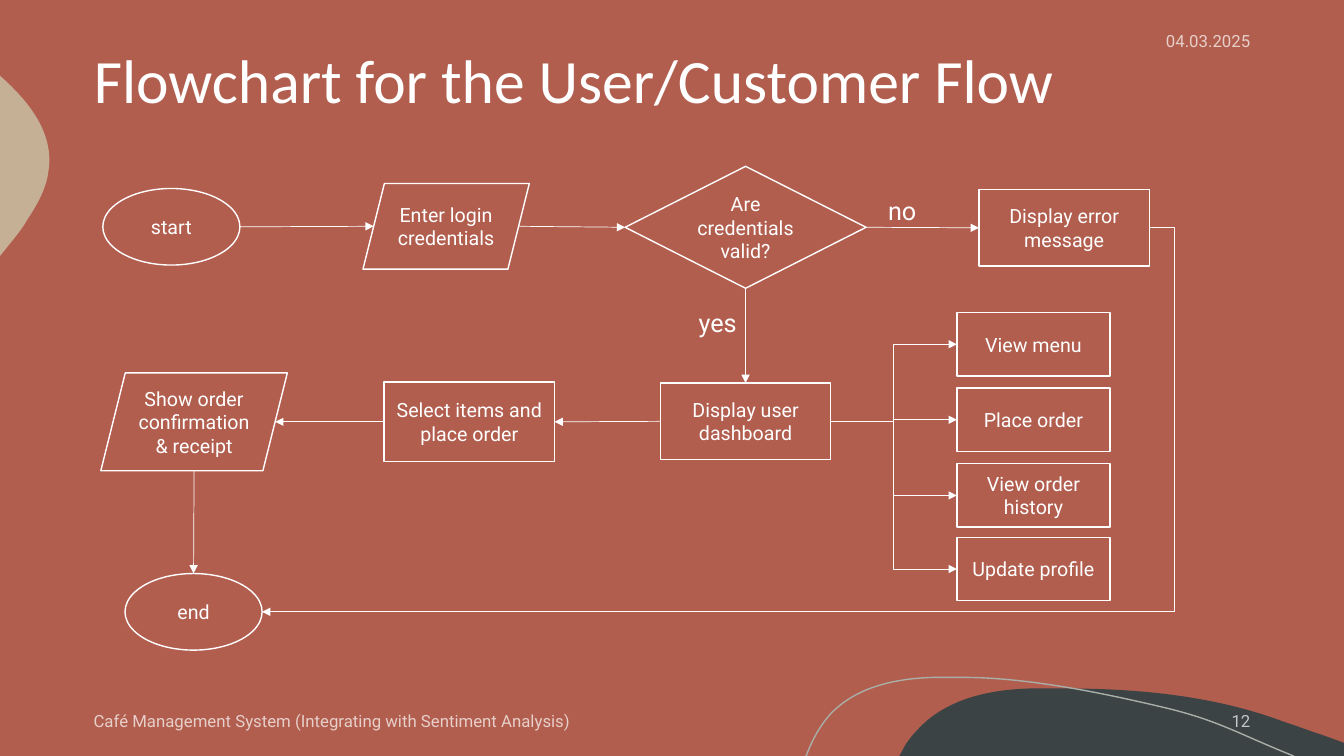
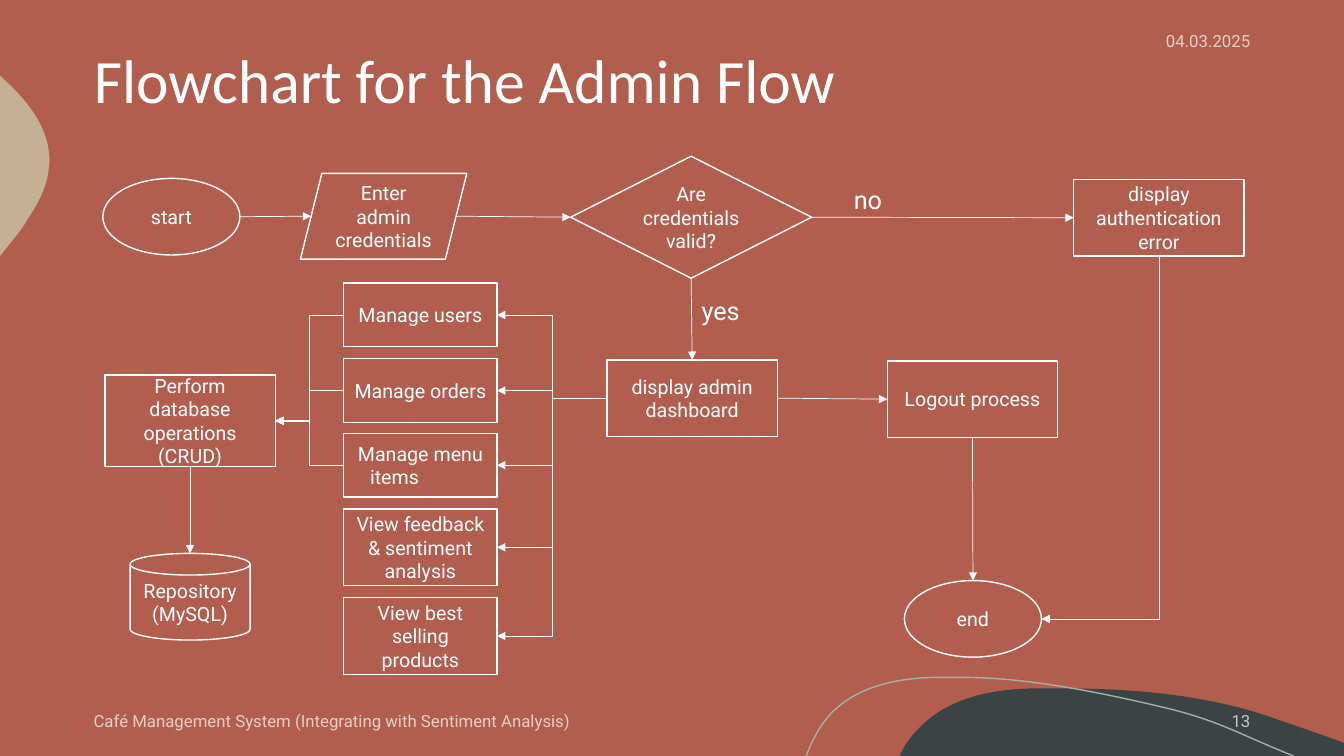
import dataclasses

import pptx
import pptx.dml.color
import pptx.enum.shapes
import pptx.enum.text
import pptx.oxml
import pptx.oxml.ns
import pptx.util
from lxml import etree

PX = 9144  # EMU per px, 100 px to the inch
SHAPE = pptx.enum.shapes.MSO_SHAPE
CONNECTOR = pptx.enum.shapes.MSO_CONNECTOR
ALIGN = pptx.enum.text.PP_ALIGN
ANCHOR = pptx.enum.text.MSO_ANCHOR
AUTO_SIZE = pptx.enum.text.MSO_AUTO_SIZE
TOP, LEFT, BOTTOM, RIGHT = range(4)
qn = pptx.oxml.ns.qn


@dataclasses.dataclass(frozen=True)
class Theme:
    background: str = "B15E4E"
    ink: str = "FFFFFF"
    dark_wave: str = "3B4345"
    sand_wave: str = "C5B096"
    wave_line: str = "A9AEA7"
    title_font: str = "Calibri"
    body_font: str = "Roboto"
    title_size: int = 44
    label_size: int = 18
    node_size: int = 14
    footer_size: int = 12
    outline: float = 1
    arrow: float = 0.5
    footer_alpha: int = 70


THEME = Theme()
SLIDE_SIZE = (1333, 750)
TITLE_BOX = (83, 0, 1167, 166)
DATE_BOX = (1027, 21, 223, 40)
FOOTER_BOX = (83, 695, 723, 40)
NUMBER_BOX = (1083, 695, 167, 40)
FLOW_BOX = (100, 150, 1150, 520)
TAB_STOP = 100

DATE = "04.03.2025"
FOOTER = "Café Management System (Integrating with Sentiment Analysis)"

# Outlines: a pair is a straight step, six numbers are a Bézier step
DARK_WAVE = [(1054, 683), (1128, 683, 1204, 690, 1273, 716),
             (1286, 720, 1298, 725, 1311, 729), (1333, 737), (1333, 750),
             (892, 750), (898, 739), (902, 733, 906, 728, 911, 723),
             (939, 693, 982, 684, 1023, 683), (1033, 683, 1043, 683, 1054, 683)]
SAND_WAVE = [(0, 75), (1, 76), (30, 102, 54, 133, 48, 170),
             (46, 187, 37, 203, 27, 218), (24, 224, 17, 233, 8, 244), (0, 254)]
WAVE_LINE = [(799, 750), (800, 749), (806, 733, 814, 719, 824, 708),
             (850, 681, 889, 673, 926, 672), (955, 672),
             (1022, 672, 1100, 689, 1155, 702), (1209, 715, 1226, 727, 1283, 750)]


def emu(lengths):
    return [round(length * PX) for length in lengths]


def rgb(colour):
    return pptx.dml.color.RGBColor.from_string(colour)


def write(frame, text, size, font=THEME.body_font, align=ALIGN.LEFT, anchor=ANCHOR.MIDDLE):
    """Fill a text frame, one paragraph for each line of text."""
    frame.word_wrap = True
    frame.vertical_anchor = anchor
    for index, line in enumerate(text.split("\n")):
        paragraph = frame.add_paragraph() if index else frame.paragraphs[0]
        paragraph.alignment = align
        if "\t" in line:
            stops = etree.SubElement(paragraph._p.get_or_add_pPr(), qn("a:tabLst"))
            etree.SubElement(stops, qn("a:tab"), pos=str(TAB_STOP * PX), algn="l")
        run = paragraph.add_run()
        run.text = line
        run.font.name = font
        run.font.size = pptx.util.Pt(size)
        run.font.color.rgb = rgb(THEME.ink)


# Shared look
def bend_steps(wave, steps):
    """Turn the straight steps of a freeform into the Bézier steps they stand for."""
    origin = (wave.left, wave.top)
    lines = list(wave.element.iter(qn("a:lnTo")))
    for line, step in zip(lines, steps[1:]):
        if len(step) == 2:
            continue
        curve = etree.Element(qn("a:cubicBezTo"))
        for pair in zip(step[::2], step[1::2]):
            x, y = (end - start for end, start in zip(emu(pair), origin))
            etree.SubElement(curve, qn("a:pt"), x=str(x), y=str(y))
        line.getparent().replace(line, curve)


def add_wave(slide, steps, fill=None, line=None):
    points = [tuple(emu(step[-2:])) for step in steps]
    builder = slide.shapes.build_freeform(*points[0], scale=1.0)
    builder.add_line_segments(points[1:], close=fill is not None)
    wave = builder.convert_to_shape()
    bend_steps(wave, steps)
    wave.shadow.inherit = False
    if fill:
        wave.fill.solid()
        wave.fill.fore_color.rgb = rgb(fill)
        wave.line.fill.background()
    else:
        wave.fill.background()
        wave.line.color.rgb = rgb(line)
        wave.line.width = pptx.util.Pt(THEME.outline)
    return wave


def decorate_layout(layout, slide):
    """Draw the waves on a slide, then move them to its layout."""
    waves = [add_wave(slide, DARK_WAVE, fill=THEME.dark_wave),
             add_wave(slide, SAND_WAVE, fill=THEME.sand_wave),
             add_wave(slide, WAVE_LINE, line=THEME.wave_line)]
    for index, wave in enumerate(waves):
        wave.element.nvSpPr.cNvPr.set("id", str(100 + index))
        layout.shapes.element.insert(2 + index, wave.element)


def add_footer_text(slide, box, text, align=ALIGN.LEFT):
    footer = slide.shapes.add_textbox(*emu(box))
    write(footer.text_frame, text, THEME.footer_size, align=align)
    for colour in footer.element.iter(qn("a:srgbClr")):
        alpha = etree.SubElement(colour, qn("a:alpha"))
        alpha.set("val", str(THEME.footer_alpha * 1000))


def add_frame(slide, title, number):
    heading = slide.shapes.title
    heading.left, heading.top, heading.width, heading.height = emu(TITLE_BOX)
    write(heading.text_frame, title, THEME.title_size, THEME.title_font)
    heading.text_frame.auto_size = AUTO_SIZE.NONE
    heading.text_frame.paragraphs[0].line_spacing = 0.9
    add_footer_text(slide, DATE_BOX, DATE, ALIGN.RIGHT)
    add_footer_text(slide, FOOTER_BOX, FOOTER)
    add_footer_text(slide, NUMBER_BOX, str(number), ALIGN.RIGHT)


# Flowchart parts, placed relative to a box
class Flow:
    def __init__(self, slide, box):
        self.shapes = slide.shapes
        self.left, self.top = box[:2]

    def place(self, left, top, width, height):
        return emu((self.left + left, self.top + top, width, height))

    def node(self, text, left, top, width=169, height=76, kind=SHAPE.RECTANGLE):
        node = self.shapes.add_shape(kind, *self.place(left, top, width, height))
        node.shadow.inherit = False
        node.fill.background()
        node.line.color.rgb = rgb(THEME.ink)
        node.line.width = pptx.util.Pt(THEME.outline)
        write(node.text_frame, text, THEME.node_size, align=ALIGN.CENTER)
        return node

    def terminal(self, text, left, top):
        return self.node(text, left, top, width=136, kind=SHAPE.OVAL)

    def options(self, left, rows):
        return [self.node(text, left, top, 152, height) for text, top, height in rows]

    def label(self, text, left, top):
        label = self.shapes.add_textbox(*self.place(left, top, 106, 40))
        write(label.text_frame, text, THEME.label_size, anchor=ANCHOR.TOP)
        label.text_frame.auto_size = AUTO_SIZE.SHAPE_TO_FIT_TEXT

    def port(self, node, side):
        """Middle of a node's side, on the slant for a parallelogram."""
        x, y = node.left + node.width // 2, node.top + node.height // 2
        slanted = node.auto_shape_type == SHAPE.PARALLELOGRAM
        inset = node.height // 8 if slanted else 0
        return {TOP: (x, node.top), LEFT: (node.left + inset, y),
                BOTTOM: (x, node.top + node.height),
                RIGHT: (node.left + node.width - inset, y)}[side]

    def link(self, start, end, elbow=False):
        """Join two (node, side) ends with an arrow."""
        kind = CONNECTOR.ELBOW if elbow else CONNECTOR.STRAIGHT
        arrow = self.shapes.add_connector(kind, *self.port(*start), *self.port(*end))
        arrow.line.color.rgb = rgb(THEME.ink)
        arrow.line.width = pptx.util.Pt(THEME.arrow)
        properties = arrow.element.spPr
        etree.SubElement(properties.find(qn("a:ln")), qn("a:tailEnd"), type="triangle")
        etree.SubElement(properties, qn("a:effectLst"))
        joinable = (SHAPE.RECTANGLE, SHAPE.DIAMOND, SHAPE.OVAL)
        if start[0].auto_shape_type in joinable:
            arrow.begin_connect(*start)
        if end[0].auto_shape_type in joinable:
            arrow.end_connect(*end)
        # An ellipse has eight connection sites, two for each side
        for (node, side), tag in ((start, "a:stCxn"), (end, "a:endCxn")):
            if node.auto_shape_type == SHAPE.OVAL:
                for site in arrow.element.iter(qn(tag)):
                    site.set("idx", str(2 * side))
        return arrow

    def link_around(self, start, end, reach):
        """Elbow that first runs outward by reach, then turns back."""
        arrow = self.link(start, end, elbow=True)
        guides = arrow.element.spPr.find(qn("a:prstGeom")).get_or_add_avLst()
        share = round(-100000 * reach * PX / arrow.width)
        etree.SubElement(guides, qn("a:gd"), name="adj1", fmla=f"val {share}")

    def link_corner(self, start, end):
        """Elbow with one turn, down and then to the left."""
        arrow = self.link(start, end, elbow=True)
        (x1, y1), (x2, y2) = self.port(*start), self.port(*end)
        arrow.element.spPr.find(qn("a:prstGeom")).set("prst", "bentConnector2")
        frame = arrow.element.spPr.find(qn("a:xfrm"))
        frame.attrib.clear()
        frame.set("rot", str(90 * 60000))
        arrow.width, arrow.height = y2 - y1, x1 - x2
        arrow.left = (x1 + x2 - arrow.width) // 2
        arrow.top = (y1 + y2 - arrow.height) // 2


def add_login_check(flow, top, login, login_left, valid_left, dashboard, error, no, yes):
    """Opening row: log in, check, then error or dashboard."""
    start = flow.terminal("start", 2, top)
    entry = flow.node(login, login_left, top - 5, 165, 85, SHAPE.PARALLELOGRAM)
    valid = flow.node("Are credentials valid?", valid_left, top - 22, 239, 121, SHAPE.DIAMOND)
    dashboard_node = flow.node(*dashboard)
    error_node = flow.node(*error)
    flow.link((start, RIGHT), (entry, LEFT))
    flow.link((entry, RIGHT), (valid, LEFT))
    flow.link((valid, RIGHT), (error_node, LEFT))
    flow.link((valid, BOTTOM), (dashboard_node, TOP))
    flow.label("no", *no)
    flow.label("yes", *yes)
    return dashboard_node, error_node


def add_user_flow(slide, box):
    flow = Flow(slide, box)
    dashboard, error = add_login_check(
        flow, 37, "Enter login credentials", 260, 520,
        ("Display user dashboard", 555, 230), ("Display error message", 871, 38),
        no=(771, 39), yes=(583, 150))
    # Ordering, from right to left
    select = flow.node("Select items and place order", 281, 229, height=79)
    confirm = flow.node("Show order confirmation & receipt", 0, 220, 185, 97,
                        SHAPE.PARALLELOGRAM)
    end = flow.terminal("end", 24, 419)
    flow.link((dashboard, LEFT), (select, RIGHT))
    flow.link((select, LEFT), (confirm, RIGHT))
    flow.link((confirm, BOTTOM), (end, TOP))
    # Dashboard choices
    for option in flow.options(849, [
            ("View menu", 160, 63), ("Place order", 235, 63),
            ("View order history", 310, 63), ("Update profile", 383, 63)]):
        flow.link((dashboard, RIGHT), (option, LEFT), elbow=True)
    # Error path to the end
    flow.link_around((error, RIGHT), (end, RIGHT), reach=25)


def add_admin_flow(slide, box):
    flow = Flow(slide, box)
    dashboard, error = add_login_check(
        flow, 27, "Enter admin credentials", 198, 466,
        ("display admin dashboard", 502, 207), ("display authentication error", 965, 28),
        no=(737, 28), yes=(586, 138))
    # Logout and error paths to the end
    logout = flow.node("Logout process", 780, 208)
    end = flow.terminal("end", 797, 426)
    flow.link((dashboard, RIGHT), (logout, LEFT))
    flow.link((logout, BOTTOM), (end, TOP))
    flow.link_corner((error, BOTTOM), (end, RIGHT))
    # Dashboard choices
    options = flow.options(241, [
        ("Manage users", 131, 63), ("Manage orders", 206, 63),
        ("Manage menu items\t", 280, 63),
        ("View feedback & sentiment analysis", 355, 76),
        ("View best selling products", 443, 76)])
    for option in options:
        flow.link((dashboard, LEFT), (option, RIGHT), elbow=True)
    # Storage
    database = flow.node("Perform database operations (CRUD)", 4, 222, height=91)
    repository = flow.node("Repository\n(MySQL)", 29, 399, 119, 86, SHAPE.CAN)
    for option in options[:3]:
        flow.link((option, LEFT), (database, RIGHT), elbow=True)
    flow.link((database, BOTTOM), (repository, TOP))


def main():
    deck = pptx.Presentation()
    deck.slide_width, deck.slide_height = emu(SLIDE_SIZE)
    background = deck.slide_master.background.fill
    background.solid()
    background.fore_color.rgb = rgb(THEME.background)
    layout = deck.slide_layouts.get_by_name("Title Only")
    pages = [("Flowchart for the User/Customer Flow", add_user_flow),
             ("Flowchart for the Admin Flow", add_admin_flow)]
    for number, (title, add_flow) in enumerate(pages, start=12):
        slide = deck.slides.add_slide(layout)
        add_frame(slide, title, number)
        add_flow(slide, FLOW_BOX)
    decorate_layout(layout, deck.slides[0])
    deck.save("out.pptx")


if __name__ == "__main__":
    main()
